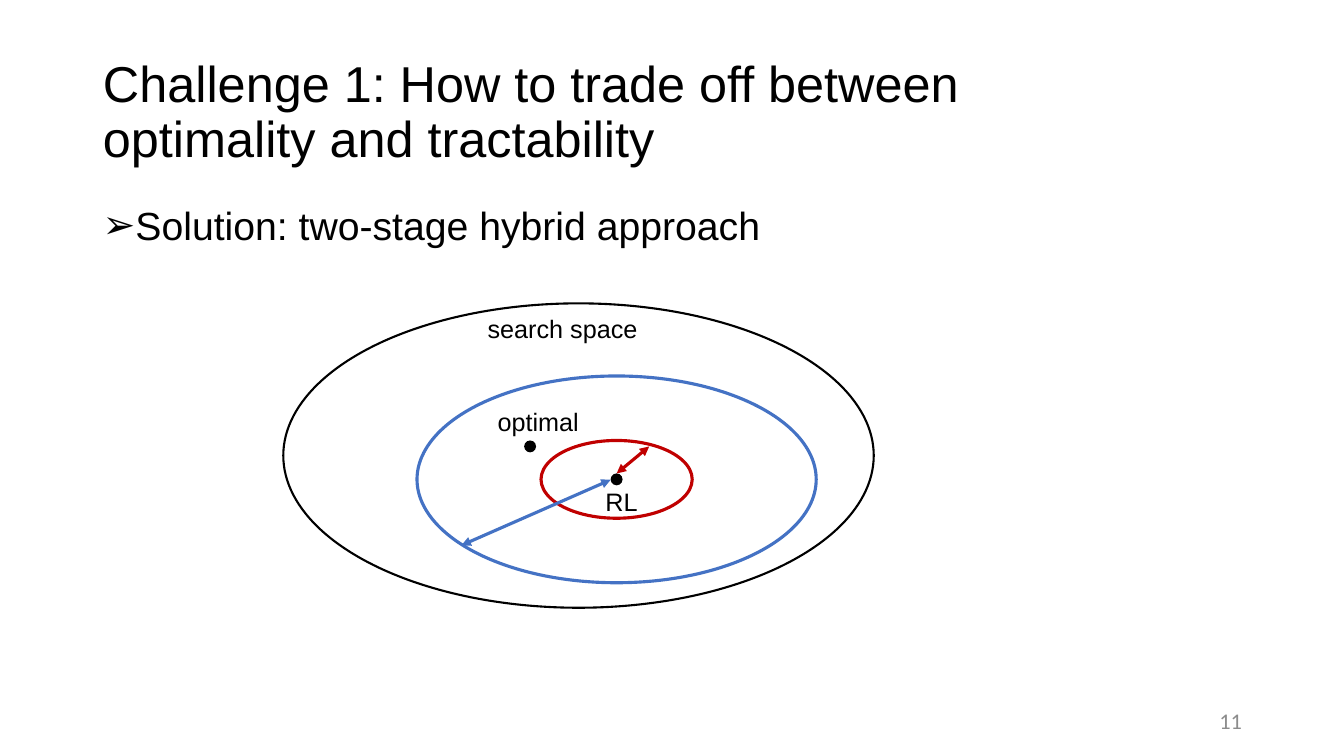
from lxml.etree import SubElement
from pptx import Presentation
from pptx.dml.color import RGBColor
from pptx.enum.shapes import MSO_CONNECTOR, MSO_SHAPE
from pptx.enum.text import MSO_ANCHOR, MSO_AUTO_SIZE, PP_ALIGN
from pptx.oxml.ns import qn
from pptx.util import Cm, Pt

BLACK, RED, BLUE, GREY = "000000", "C00000", "4472C4", "8C8C8C"
TITLE = ["Challenge 1: How to trade off between ", "optimality and tractability"]
POINT = "Solution: two-stage hybrid approach"
PAGE = "11"
LEFT, WIDE = 2.34, 29.21
CORE = (15.54, 12.08)
BEST = (13.36, 11.25)
DOT = 0.3
LABELS = [
    ("search space", 12.04, 7.77, 4.32),
    ("optimal", 12.29, 10.11, 2.59),
    ("RL", 15.01, 12.14, 1.32),
]
RINGS = [
    ((14.58, 11.48), 14.88, 7.67, BLACK, 1.5),
    (CORE, 3.81, 1.96, RED, 2.25),
    (CORE, 10.06, 5.21, BLUE, 2.25),
]
ARROWS = [
    ((15.54, 11.93), (16.36, 11.25), RED),
    ((11.63, 13.74), (15.39, 12.09), BLUE),
]


def paint(hue):
    return RGBColor.from_string(hue)


def write(para, text, size, hue=BLACK, face="Arial"):
    run = para.add_run()
    run.text = text
    run.font.size = Pt(size)
    run.font.name = face
    run.font.color.rgb = paint(hue)


def add_box(slide, left, top, width, height, wrap=True):
    box = slide.shapes.add_textbox(Cm(left), Cm(top), Cm(width), Cm(height))
    box.text_frame.word_wrap = wrap
    return box.text_frame


def add_oval(slide, mid, width, height):
    oval = slide.shapes.add_shape(
        MSO_SHAPE.OVAL, Cm(mid[0] - width / 2), Cm(mid[1] - height / 2),
        Cm(width), Cm(height))
    oval.shadow.inherit = False
    return oval


def add_title(slide):
    title = slide.shapes.title
    title.left, title.top = Cm(LEFT), Cm(1.02)
    title.width, title.height = Cm(WIDE), Cm(3.68)
    frame = title.text_frame
    frame.auto_size = MSO_AUTO_SIZE.NONE
    frame.vertical_anchor = MSO_ANCHOR.MIDDLE
    para = frame.paragraphs[0]
    para.alignment = PP_ALIGN.LEFT
    para.line_spacing = 0.9
    for row, text in enumerate(TITLE):
        if row:
            para.add_line_break()
        write(para, text, 36)


def add_point(slide):
    para = add_box(slide, LEFT, 5.08, WIDE, 12.09).paragraphs[0]
    para.line_spacing = 0.9
    props = para._p.get_or_add_pPr()
    props.set("marL", str(Cm(0.64)))
    props.set("indent", str(-Cm(0.64)))
    SubElement(props, qn("a:buFont"), typeface="Wingdings 3")
    props[-1].set("typeface", "Arial")
    SubElement(props, qn("a:buChar"), char="➢")
    write(para, POINT, 28)


def add_page(slide):
    frame = add_box(slide, 23.93, 17.65, 7.62, 1.02)
    frame.vertical_anchor = MSO_ANCHOR.MIDDLE
    para = frame.paragraphs[0]
    para.alignment = PP_ALIGN.RIGHT
    write(para, PAGE, 16, GREY, "Calibri")


def add_arrow(slide, start, end, hue):
    arrow = slide.shapes.add_connector(
        MSO_CONNECTOR.STRAIGHT, *[Cm(n) for n in start + end])
    arrow.line.color.rgb = paint(hue)
    arrow.line.width = Pt(2.25)
    line = arrow.line._get_or_add_ln()
    for tip in ("a:headEnd", "a:tailEnd"):
        SubElement(line, qn(tip), type="triangle")
    SubElement(arrow._element.spPr, qn("a:effectLst"))


def main():
    deck = Presentation()
    deck.slide_width, deck.slide_height = Cm(33.87), Cm(19.05)
    slide = deck.slides.add_slide(deck.slide_layouts[5])
    add_title(slide)
    add_point(slide)
    add_page(slide)
    for text, left, top, width in LABELS:
        frame = add_box(slide, left, top, width, 1.02, False)
        write(frame.paragraphs[0], text, 18)
    for mid, width, height, hue, weight in RINGS:
        ring = add_oval(slide, mid, width, height)
        ring.fill.background()
        ring.line.color.rgb = paint(hue)
        ring.line.width = Pt(weight)
    for mid in (BEST, CORE):
        dot = add_oval(slide, mid, DOT, DOT)
        dot.fill.solid()
        dot.fill.fore_color.rgb = paint(BLACK)
        dot.line.fill.background()
    for start, end, hue in ARROWS:
        add_arrow(slide, start, end, hue)
    deck.save("out.pptx")


if __name__ == "__main__":
    main()
